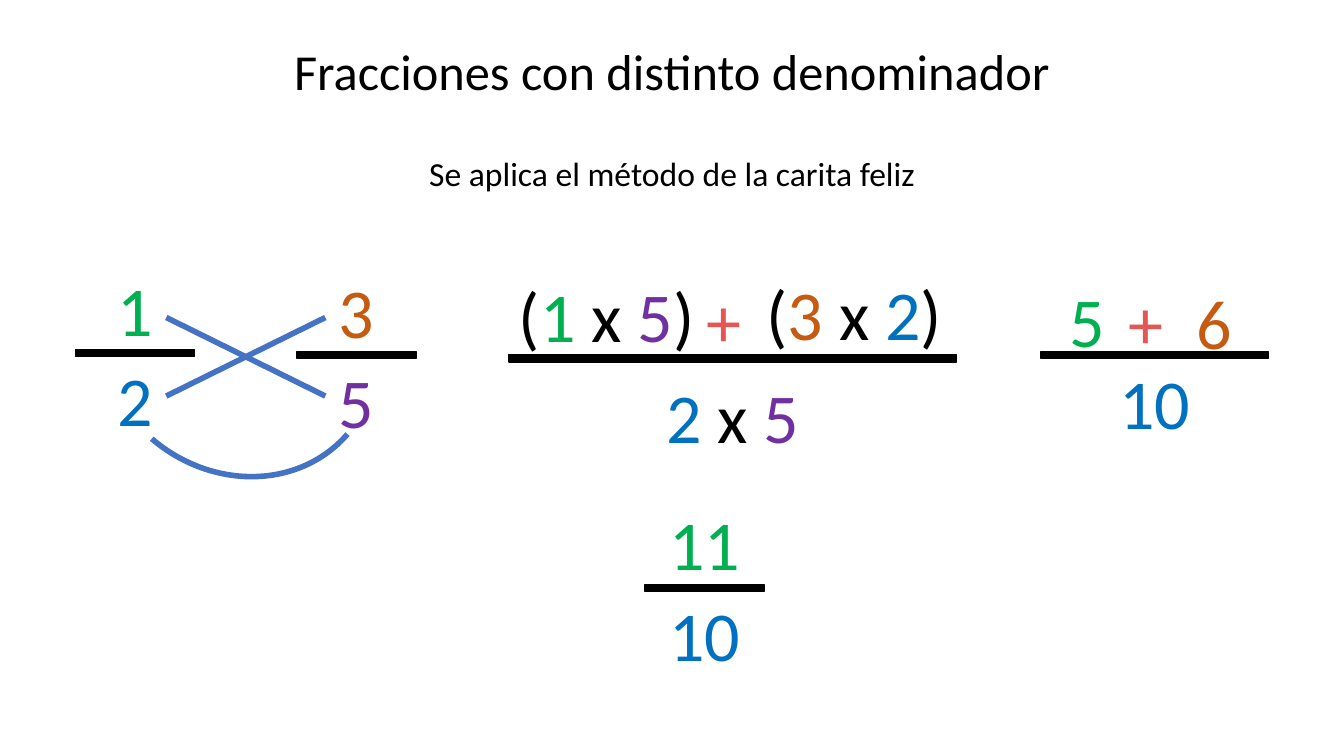
from pptx import Presentation
from pptx.dml.color import RGBColor
from pptx.enum.shapes import MSO_CONNECTOR, MSO_SHAPE
from pptx.enum.text import MSO_AUTO_SIZE, PP_ALIGN
from pptx.oxml.ns import qn
from pptx.util import Cm, Pt
from lxml import etree

STRAIGHT = MSO_CONNECTOR.STRAIGHT
ARC, RECTANGLE = MSO_SHAPE.ARC, MSO_SHAPE.RECTANGLE
FIT_TEXT = MSO_AUTO_SIZE.SHAPE_TO_FIT_TEXT
CENTER, LEFT = PP_ALIGN.CENTER, PP_ALIGN.LEFT

BLACK = RGBColor(0x00, 0x00, 0x00)
GREEN = RGBColor(0x00, 0xB0, 0x50)
BLUE = RGBColor(0x00, 0x70, 0xC0)
ORANGE = RGBColor(0xC5, 0x5A, 0x11)
PURPLE = RGBColor(0x70, 0x30, 0xA0)
RED = RGBColor(0xE5, 0x55, 0x55)
SMILE_BLUE = RGBColor(0x44, 0x72, 0xC4)

SLIDE_WIDTH, SLIDE_HEIGHT = 33.87, 19.05
DIGIT_SIZE, DIGIT_HEIGHT = 50, 2.39
BAR_HEIGHT = 0.18
NUMERATOR_RISE, DENOMINATOR_DROP = 2.23, 0.06
SMILE_WIDTH = Pt(4)


def add_text(shapes, left, top, width, pieces, size=DIGIT_SIZE,
             height=DIGIT_HEIGHT, align=CENTER):
    """Add one line of text made of (words, colour) pieces."""
    box = shapes.add_textbox(Cm(left), Cm(top), Cm(width), Cm(height))
    frame = box.text_frame
    frame.word_wrap = True
    frame.auto_size = FIT_TEXT
    line = frame.paragraphs[0]
    line.alignment = align
    line.font.name = "Calibri"
    line.font.size = Pt(size)
    for words, colour in pieces:
        run = line.add_run()
        run.text = words
        run.font.color.rgb = colour


def add_bar(shapes, left, top, width):
    """Add the black bar of a fraction."""
    bar = shapes.add_shape(RECTANGLE, Cm(left), Cm(top), Cm(width), Cm(BAR_HEIGHT))
    bar.shadow.inherit = False
    bar.fill.solid()
    bar.fill.fore_color.rgb = BLACK
    bar.line.color.rgb = BLACK
    bar.line.width = Pt(1)


def add_fraction(slide, left, bar_top, numerator, denominator, width=3.0):
    """Add a grouped fraction with a single number above and below its bar."""
    shapes = slide.shapes.add_group_shape().shapes
    add_text(shapes, left, bar_top - NUMERATOR_RISE, width, [numerator])
    add_text(shapes, left, bar_top + DENOMINATOR_DROP, width, [denominator])
    add_bar(shapes, left, bar_top, width)


def add_cross_line(shapes, start, end):
    """Add one diagonal of the cross multiplication."""
    diagonal = shapes.add_connector(STRAIGHT, *map(Cm, start + end))
    diagonal.line.color.rgb = SMILE_BLUE
    diagonal.line.width = SMILE_WIDTH
    etree.SubElement(diagonal._element.spPr, qn("a:effectLst"))


def add_smile(shapes):
    """Add the arc that joins both denominators."""
    smile = shapes.add_shape(ARC, Cm(2.67), Cm(4.88), Cm(6.6), Cm(7.34))
    smile.rotation = 130.6
    smile.shadow.inherit = False
    smile.fill.background()
    smile.line.color.rgb = SMILE_BLUE
    smile.line.width = SMILE_WIDTH


def add_product(shapes, left, top, width, first, second):
    """Add a product in brackets."""
    add_text(shapes, left, top, width, [
        ("(", BLACK), (first[0] + " ", first[1]), ("x ", BLACK), second, (")", BLACK)])


def add_plus(shapes, left, top):
    """Add a red plus sign."""
    add_text(shapes, left, top, 1.68, [("+", RED)], align=LEFT)


def main():
    """Build the slide and save it."""
    deck = Presentation()
    deck.slide_width, deck.slide_height = Cm(SLIDE_WIDTH), Cm(SLIDE_HEIGHT)
    slide = deck.slides.add_slide(deck.slide_layouts[6])
    shapes = slide.shapes
    one, two = ("1", GREEN), ("2", BLUE)
    three, five = ("3", ORANGE), ("5", PURPLE)

    add_text(shapes, 0, 0.89, SLIDE_WIDTH,
             [("Fracciones con distinto denominador", BLACK)], 36, 1.8)
    add_text(shapes, 0, 3.73, SLIDE_WIDTH,
             [("Se aplica el método de la carita feliz", BLACK)], 24, 1.27)

    add_fraction(slide, 1.9, 8.81, one, two)
    add_fraction(slide, 7.49, 8.86, three, five)
    add_smile(shapes)
    add_cross_line(shapes, (4.19, 8.0), (8.2, 9.98))
    add_cross_line(shapes, (8.2, 8.0), (4.19, 9.98))

    add_product(shapes, 12.6, 6.73, 5.38, one, five)
    add_plus(shapes, 17.55, 6.88)
    add_product(shapes, 18.8, 6.68, 5.46, three, two)
    add_bar(shapes, 12.83, 8.94, 11.28)
    add_text(shapes, 12.83, 9.3, 11.28, [("2 ", BLUE), ("x ", BLACK), five])

    add_text(shapes, 26.09, 6.88, 2.62, [("5", GREEN)])
    add_plus(shapes, 28.19, 6.91)
    add_text(shapes, 29.29, 6.91, 2.64, [("6", ORANGE)])
    add_bar(shapes, 26.24, 8.86, 5.72)
    add_text(shapes, 26.24, 8.94, 5.72, [("10", BLUE)])

    add_fraction(slide, 16.26, 14.73, ("11", GREEN), ("10", BLUE))
    deck.save("out.pptx")


if __name__ == "__main__":
    main()
